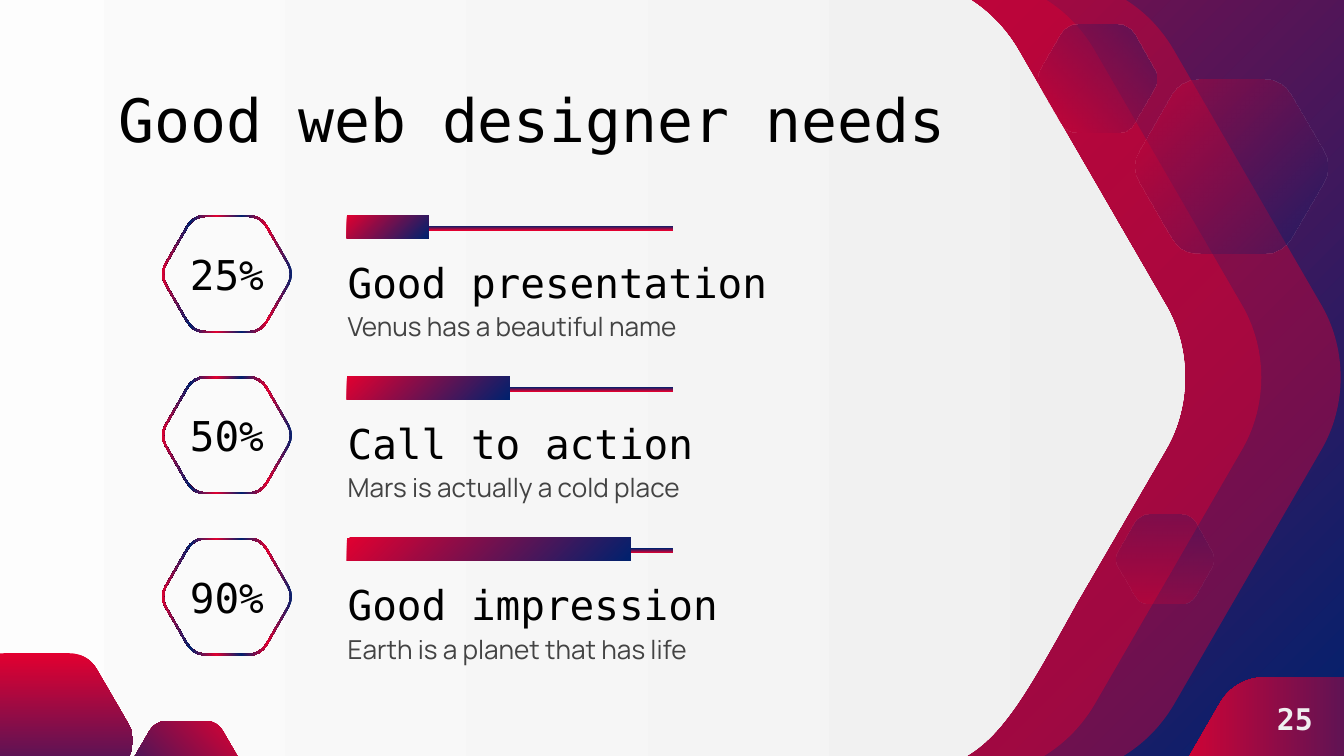
from collections import namedtuple
from dataclasses import dataclass

from lxml import etree
from pptx import Presentation, util as u
from pptx.dml.color import RGBColor
from pptx.enum import shapes, text
from pptx.oxml.ns import qn

Pt = u.Pt
Box = namedtuple("Box", "left top width height")
Style = namedtuple("Style", "font size color bold", defaults=(False,))
Stop = namedtuple("Stop", "position color opacity", defaults=(100,))


@dataclass(frozen=True)
class Theme:
    red: str = "E20030"
    navy: str = "00216E"
    white: str = "FFFFFF"
    mist: str = "EFEFEF"
    title: Style = Style("DejaVu Sans Mono", 32, "000000")
    heading: Style = Style("DejaVu Sans Mono", 22, "000000")
    body: Style = Style("Manrope", 14, "434343")
    page: Style = Style("DejaVu Sans Mono", 16, "EFEFEF", True)


THEME = Theme()
RED_NAVY = [Stop(0, THEME.red), Stop(100, THEME.navy)]
NAVY_RED = [Stop(0, THEME.navy), Stop(100, THEME.red)]
SHEER_RED = [Stop(0, THEME.red, 41)]
RING_STOPS = [Stop(position, (THEME.navy, THEME.red)[index % 2])
              for index, position in enumerate((0, 19, 39, 58, 78, 100))]

# Rounded hexagon in percent of its box: one point for a line, three for a curve
HEXAGON = [
    [(33, 0)], [(27.5, 0), (22.4, 3.4), (19.5, 8.9)],
    [(2.7, 41.2)], [(0, 46.6), (0, 53.4), (2.7, 58.8)],
    [(12.9, 78.3)], [(22.5, 97.6), (23.8, 100), (39.3, 100)],
    [(66.7, 100)], [(72.5, 100), (77.6, 96.5), (80.5, 91.1)],
    [(97.3, 58.8)], [(100, 53.4), (100, 46.6), (97.3, 41.2)],
    [(80.5, 8.9)], [(77.6, 3.4), (72.5, 0), (66.7, 0)],
]
HEXAGON_RATIO = 1.113


def set_gradient(fill, owner, stops, angle):
    """Fill with a linear gradient; the angle runs clockwise in degrees."""
    fill.gradient()
    fill.gradient_angle = -angle % 360
    stop_list = next(owner.iter(qn("a:gsLst")))
    for old_stop in list(stop_list):
        stop_list.remove(old_stop)
    for stop in stops:
        entry = etree.SubElement(stop_list, qn("a:gs"), pos=str(stop.position * 1000))
        color = etree.SubElement(entry, qn("a:srgbClr"), val=stop.color)
        set_opacity(color, stop.opacity)


def set_opacity(color, opacity):
    if opacity < 100:
        etree.SubElement(color, qn("a:alpha"), val=str(opacity * 1000))


def paint(shape, stops, angle=0):
    """One stop gives a plain fill, several give a gradient."""
    shape.shadow.inherit = False
    shape.line.fill.background()
    if len(stops) > 1:
        set_gradient(shape.fill, shape._element, stops, angle)
    else:
        shape.fill.solid()
        shape.fill.fore_color.rgb = RGBColor.from_string(stops[0].color)
        set_opacity(next(shape._element.iter(qn("a:srgbClr"))), stops[0].opacity)


def write(shape, words, style, align=text.PP_ALIGN.LEFT, spacing=1.0):
    frame = shape.text_frame
    frame.word_wrap = True
    frame.auto_size = text.MSO_AUTO_SIZE.NONE
    frame.vertical_anchor = text.MSO_ANCHOR.MIDDLE
    frame.margin_left = frame.margin_right = Pt(7.2)
    frame.margin_top = frame.margin_bottom = Pt(7.2)
    paragraph = frame.paragraphs[0]
    paragraph.text = words
    paragraph.alignment = align
    paragraph.line_spacing = spacing
    paragraph.font.name = style.font
    paragraph.font.size = Pt(style.size)
    paragraph.font.bold = style.bold
    paragraph.font.color.rgb = RGBColor.from_string(style.color)


def add_text(slide, box, words, style, **options):
    write(slide.shapes.add_textbox(*map(Pt, box)), words, style, **options)


def add_bar(slide, box, stops, angle):
    bar = slide.shapes.add_shape(shapes.MSO_SHAPE.RECTANGLE, *map(Pt, box))
    paint(bar, stops, angle)


def hexagon_points(box, mirrored):
    """Place the outline; a wide box keeps its corners and stretches the middle."""
    span = box.height * HEXAGON_RATIO
    points = []
    for x, y in (point for segment in HEXAGON for point in segment):
        offset = x / 100 * span if x < 50 else box.width - (1 - x / 100) * span
        if mirrored:
            offset = box.width - offset
        points.append((Pt(box.left + offset), Pt(box.top + y / 100 * box.height)))
    return points


def round_corners(shape, contour_count):
    """Join the three lines of each curve segment into one Bezier curve."""
    lines = iter(list(shape._element.iter(qn("a:lnTo"))))
    for segment in HEXAGON[1:] * contour_count:
        members = [next(lines) for _ in segment]
        if len(members) == 3:
            curve = etree.Element(qn("a:cubicBezTo"))
            members[0].addprevious(curve)
            for line in members:
                curve.append(line[0])
                line.getparent().remove(line)


def add_hexagon(slide, box, stops, angle=0, mirrored=False, rim=0):
    """Add a hexagon; a rim width leaves the middle open."""
    boxes = [box]
    if rim:
        boxes.append(Box(box.left + rim, box.top + rim, box.width - 2 * rim, box.height - 2 * rim))
    contours = [hexagon_points(contour_box, mirrored) for contour_box in boxes]
    builder = slide.shapes.build_freeform(*contours[0][0])
    for index, points in enumerate(contours):
        if index:
            builder.move_to(*points[0])
        builder.add_line_segments(points[1:], close=True)
    shape = builder.convert_to_shape()
    round_corners(shape, len(contours))
    paint(shape, stops, angle)
    return shape


def add_backdrop(slide, box):
    """Place the chevron layers, panel and floating hexagons."""
    set_gradient(slide.background.fill, slide._element, RED_NAVY, 45)
    right, bottom = box.left + box.width, box.top + box.height
    top, height = box.top - 11.5, 427.4
    for left in (245.5, 203):
        add_hexagon(slide, Box(box.left + left, top, 475.9, height), SHEER_RED)
    add_hexagon(slide, Box(box.left - 138.2, top, 776.2, height),
                [Stop(0, THEME.white), Stop(100, THEME.mist)], mirrored=True)
    sheer = [Stop(0, THEME.red, 41), Stop(100, THEME.navy, 40)]
    sheer_up = [Stop(0, THEME.navy, 22), Stop(100, THEME.red, 23)]
    add_hexagon(slide, Box(right - 100, bottom - 42.1, 172.8, 154.8), RED_NAVY)
    add_hexagon(slide, Box(right - 112.3, box.top + 42.5, 104.4, 93.6), sheer, 45)
    add_hexagon(slide, Box(right - 164.2, box.top + 13.4, 64.1, 57.6), sheer, 315, mirrored=True)
    add_hexagon(slide, Box(right - 122.4, bottom - 129.2, 52.6, 47.5), sheer_up, 90)
    add_hexagon(slide, Box(box.left - 32.4, bottom - 55, 104.4, 93.6), RED_NAVY, 90)
    add_hexagon(slide, Box(box.left + 67.7, bottom - 18.7, 64.1, 57.6), RED_NAVY, 135, mirrored=True)


def add_title(slide, box, words):
    title = slide.shapes.title
    title.left, title.top, title.width, title.height = map(Pt, box)
    write(title, words, THEME.title)
    slide.shapes._spTree.append(title._element)  # in front of the backdrop


def add_need(slide, box, percent, share, heading, detail):
    """Place one row: percentage ring, progress bar, heading and detail."""
    ring = add_hexagon(slide, Box(box.left, box.top, 70.4, 63.3), RING_STOPS, 180, rim=1)
    write(ring, percent, THEME.heading, align=text.PP_ALIGN.CENTER)
    bar_left, bar_width = box.left + 99.4, 174.6
    add_bar(slide, Box(bar_left, box.top + 5.8, bar_width, 2.4), NAVY_RED, 90)
    add_bar(slide, Box(bar_left, box.top, bar_width * share, 12.4), RED_NAVY, 45)
    for offset, words, style in ((21.6, heading, THEME.heading), (46.1, detail, THEME.body)):
        line = Box(bar_left - 6.6, box.top + offset, box.width - 92.8, 24.5)
        add_text(slide, line, words, style, spacing=1.15)


def main():
    presentation = Presentation()
    presentation.slide_width, presentation.slide_height = Pt(720), Pt(405)
    slide = presentation.slides.add_slide(presentation.slide_layouts[5])
    add_backdrop(slide, Box(0, 0, 720, 405))
    add_title(slide, Box(56.2, 42.5, 607.7, 42.5), "Good web designer needs")
    needs = [
        ("25%", 0.25, "Good presentation", "Venus has a beautiful name"),
        ("50%", 0.5, "Call to action", "Mars is actually a cold place"),
        ("90%", 0.87, "Good impression", "Earth is a planet that has life"),
    ]
    for index, need in enumerate(needs):
        add_need(slide, Box(86.4, 115.2 + index * 86.4, 388.8, 70.6), *need)
    add_text(slide, Box(667.4, 362.9, 52.6, 44.6), "25", THEME.page, align=text.PP_ALIGN.CENTER)
    presentation.save("out.pptx")


if __name__ == "__main__":
    main()
